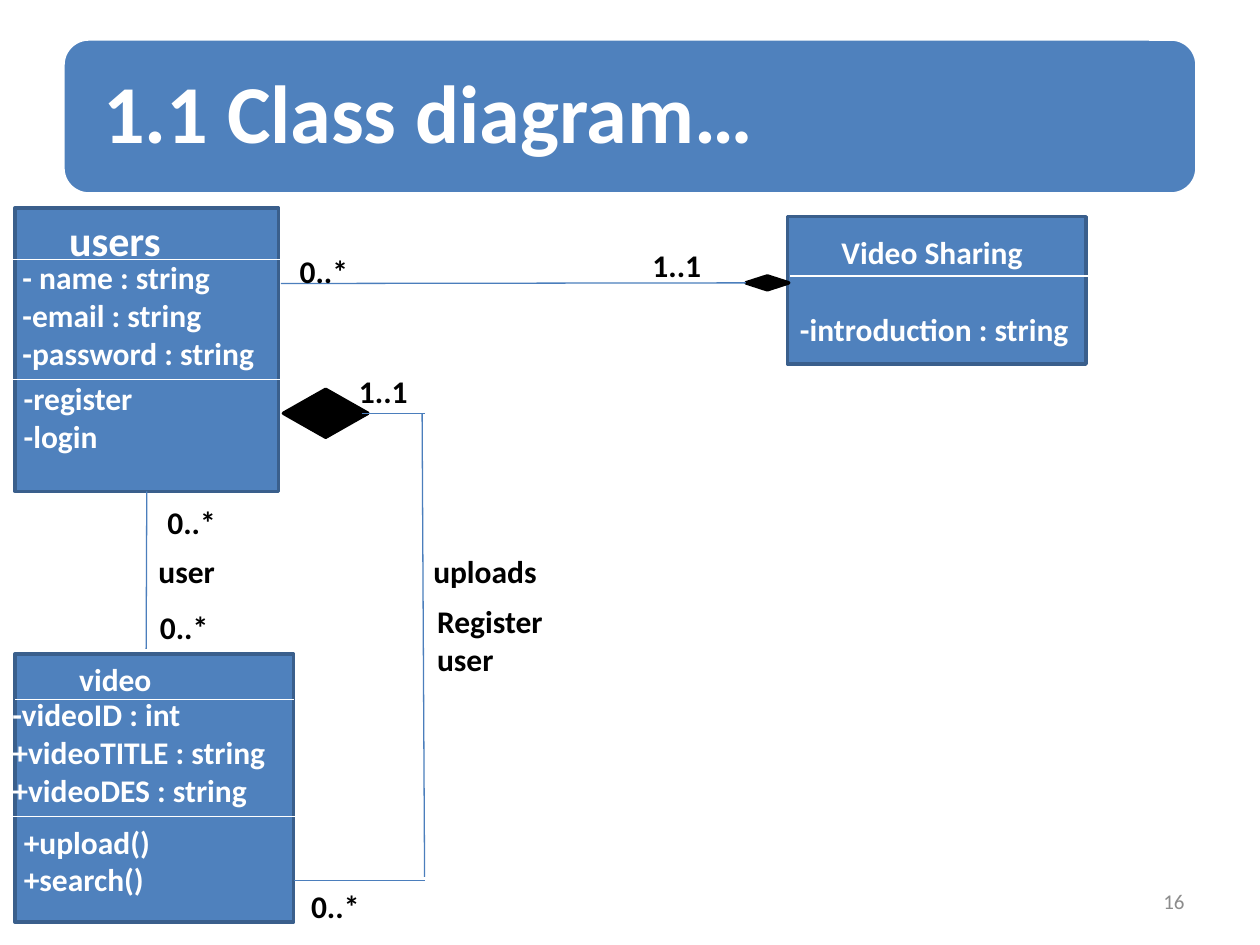
from dataclasses import dataclass

from pptx import Presentation
from pptx.dml.color import RGBColor
from pptx.enum.shapes import MSO_CONNECTOR, MSO_SHAPE as Shape
from pptx.enum.text import MSO_ANCHOR as Anchor, PP_ALIGN as Align
from pptx.oxml.ns import qn
from pptx.util import Emu, Pt
from lxml.etree import SubElement

PX = 9144  # EMU in one px, 100 px to the inch


@dataclass(frozen=True)
class Theme:
    font: str = "Calibri"
    blue: str = "4F81BD"
    edge: str = "3A5F8C"
    link: str = "4B7EBC"
    white: str = "FFFFFF"
    black: str = "000000"
    grey: str = "8C8C8C"
    title: int = 47
    heading: int = 24
    body: int = 18
    number: int = 12
    thin: float = 0.75
    thick: float = 2


THEME = Theme()


def px(*lengths):
    return [Emu(length * PX) for length in lengths]


def color(value):
    return RGBColor.from_string(value)


def write(frame, lines, size, ink, bold=True, align=Align.LEFT):
    for index, line in enumerate(lines):
        para = frame.paragraphs[0] if index == 0 else frame.add_paragraph()
        para.alignment = align
        span = para.add_run()
        span.text = line
        span.font.color.rgb = color(ink)
        for name, value in {"name": THEME.font, "size": Pt(size), "bold": bold}.items():
            setattr(span.font, name, value)


def add_text(page, at, lines, ink=THEME.black, size=THEME.body,
             anchor=Anchor.TOP, **style):
    frame = page.shapes.add_textbox(*px(*at)).text_frame
    for name, value in {"word_wrap": True, "vertical_anchor": anchor}.items():
        setattr(frame, name, value)
    write(frame, lines, size, ink, **style)


def add_box(page, kind, at, fill, edge):
    box = page.shapes.add_shape(kind, *px(*at))
    box.shadow.inherit = False
    box.fill.solid()
    box.fill.fore_color.rgb = color(fill)
    box.line.color.rgb = color(edge)
    box.line.width = Pt(THEME.thick)
    return box


def add_line(page, start, end, ink=THEME.link):
    line = page.shapes.add_connector(MSO_CONNECTOR.STRAIGHT, *px(*start, *end))
    line.line.color.rgb = color(ink)
    line.line.width = Pt(THEME.thin)
    SubElement(line._element.spPr, qn("a:effectLst"))
    return line


def add_diamond(page, at):
    return add_box(page, Shape.FLOWCHART_DECISION, at, THEME.black, THEME.black)


def add_class(page, at, dividers, sections):
    """Class box: dividers are (left, right, y), sections (at, lines, size)."""
    box = add_box(page, Shape.RECTANGLE, at, THEME.blue, THEME.edge)
    for left, right, y in dividers:
        add_line(page, (left, y), (right, y), THEME.white)
    for place, lines, size in sections:
        add_text(page, place, lines, THEME.white, size)
    return box


def add_title(page, text):
    banner = add_box(page, Shape.ROUNDED_RECTANGLE, (50, 31, 900, 123),
                     THEME.blue, THEME.white)
    frame = banner.text_frame
    margin, = px(26)
    for name, value in {"margin_left": margin, "margin_right": margin,
                        "word_wrap": True, "vertical_anchor": Anchor.MIDDLE}.items():
        setattr(frame, name, value)
    write(frame, [text], THEME.title, THEME.white)
    frame.paragraphs[0].line_spacing = 0.9


def add_classes(page):
    users = add_class(
        page, (12, 165, 209, 225),
        [(8, 634, 206), (0, 625, 301)],
        [((45, 165, 105, 50), ["users"], THEME.heading),
         ((8, 200, 325, 101),
          ["- name : string", "-email : string", "-password : string"], THEME.body),
         ((9, 296, 717, 101), ["-register", "-login"], THEME.body)])
    add_class(
        page, (12, 519, 221, 213),
        [(12, 233, 555), (0, 625, 648)],
        [((53, 519, 238, 40), ["video"], THEME.body),
         ((0, 547, 287, 101),
          ["-videoID : int", "+videoTITLE : string", "+videoDES : string"], THEME.body),
         ((9, 648, 152, 101), ["+upload()", "+search()"], THEME.body)])
    add_class(
        page, (625, 172, 237, 117),
        [(627, 864, 219)],
        [((658, 180, 175, 40), ["Video Sharing"], THEME.body),
         ((625, 241, 258, 40), ["-introduction : string"], THEME.body)])
    return users


def add_relations(page, users):
    # users to video
    add_line(page, (116, 390), (116, 515)).begin_connect(users, 2)

    # users to uploaded video, around the right side
    add_diamond(page, (225, 309, 67, 38))
    for start, end in [((287, 328), (337, 328)),
                       ((335, 328), (337, 696)),
                       ((337, 699), (233, 699))]:
        add_line(page, start, end)

    # users to Video Sharing
    sharing_end = add_diamond(page, (592, 219, 34, 11))
    add_line(page, (592, 225), (223, 225)).begin_connect(sharing_end, 1)

    # multiplicities and roles
    for left, top, width, height, label in [
            (275, 290, 75, 40, "1..1"),
            (237, 699, 108, 40, "0..*"),
            (337, 473, 108, 71, "Register user"),
            (334, 433, 142, 40, "uploads"),
            (123, 394, 75, 40, "0..*"),
            (117, 478, 92, 40, "0..*"),
            (116, 433, 106, 40, "user"),
            (228, 195, 80, 40, "0..*"),
            (508, 190, 83, 40, "1..1")]:
        add_text(page, (left, top, width, height), [label])


def main():
    deck = Presentation()
    deck.slide_width, deck.slide_height = px(1000, 750)
    page = deck.slides.add_slide(deck.slide_layouts[6])
    add_title(page, "1.1 Class diagram…")
    users = add_classes(page)
    add_relations(page, users)
    # page number
    add_text(page, (717, 695, 233, 40), ["16"], THEME.grey, THEME.number,
             Anchor.MIDDLE, bold=False, align=Align.RIGHT)
    deck.save("out.pptx")


if __name__ == "__main__":
    main()
